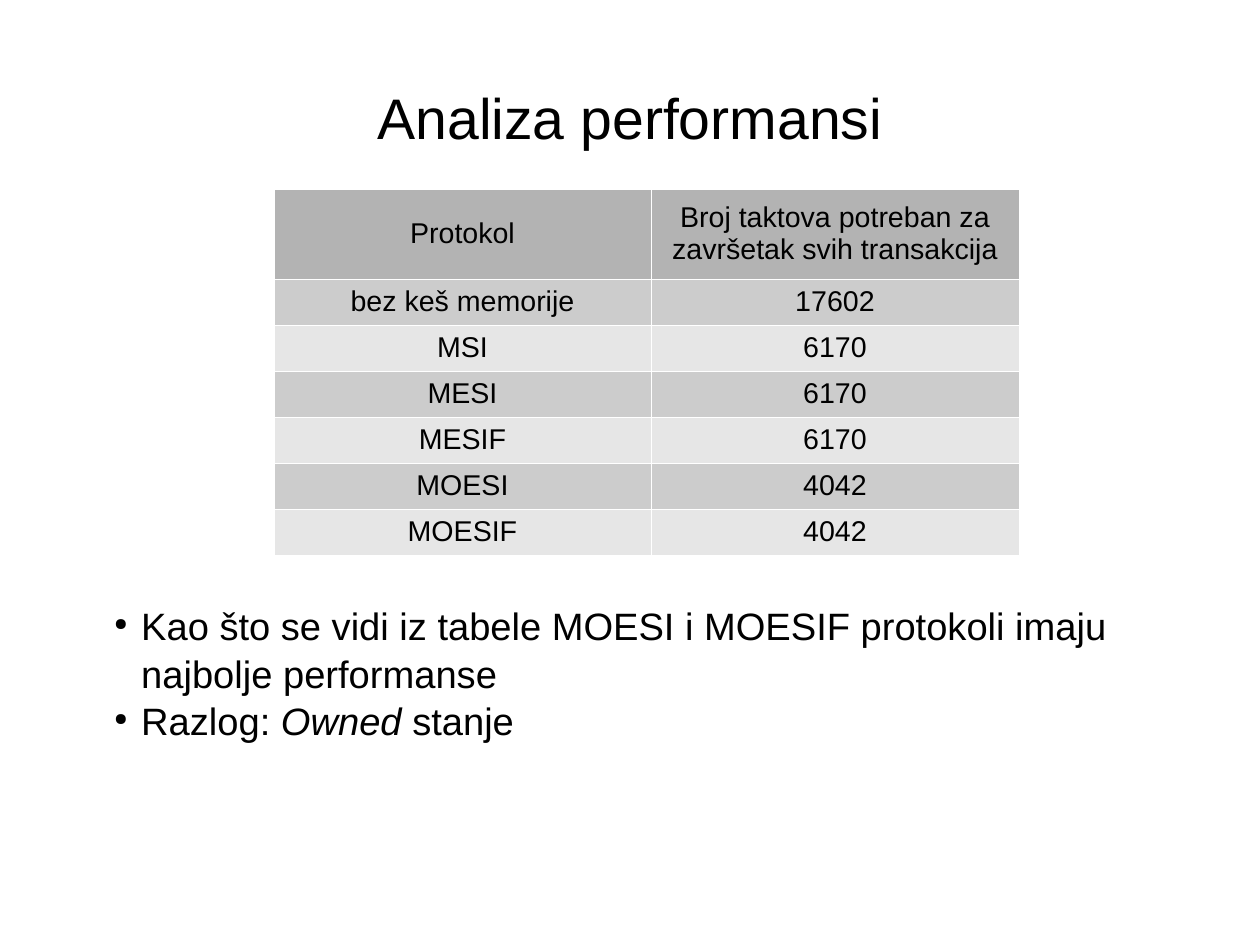
from lxml import etree
from pptx import Presentation
from pptx.dml.color import RGBColor
from pptx.enum.text import MSO_ANCHOR, PP_ALIGN
from pptx.oxml.ns import qn
from pptx.util import Emu, Pt

CENTER = PP_ALIGN.CENTER
MIDDLE = MSO_ANCHOR.MIDDLE
FONT = "Arial"
BLACK, WHITE = "000000", "FFFFFF"
HEADER_FILL, ROW_FILLS = "B3B3B3", ("CCCCCC", "E6E6E6")

HEADER = ("Protokol", "Broj taktova potreban za završetak svih transakcija")
RESULTS = [
    ("bez keš memorije", "17602"),
    ("MSI", "6170"),
    ("MESI", "6170"),
    ("MESIF", "6170"),
    ("MOESI", "4042"),
    ("MOESIF", "4042"),
]
# Each bullet is a list of (text, italic) runs
BULLETS = [
    [("Kao što se vidi iz tabele MOESI i MOESIF protokoli imaju "
      "najbolje performanse", False)],
    [("Razlog: ", False), ("Owned ", True), ("stanje", False)],
]


def px(n):
    return Emu(n * 8000)


def color(value):
    return RGBColor.from_string(value)


def style(p, size, align=None):
    p.font.name = FONT
    p.font.size = Pt(size)
    p.font.color.rgb = color(BLACK)
    p.alignment = align


def add_text_frame(s, box):
    tf = s.shapes.add_textbox(*map(px, box)).text_frame
    tf.word_wrap = True
    return tf


def add_title(s, box, text):
    tf = add_text_frame(s, box)
    tf.margin_left = tf.margin_right = tf.margin_top = tf.margin_bottom = 0
    tf.vertical_anchor = MIDDLE
    p = tf.paragraphs[0]
    p.text = text
    style(p, 36, CENTER)


def add_borders(cell):
    tc_pr = cell._tc.get_or_add_tcPr()
    for side in ("a:lnL", "a:lnR", "a:lnT", "a:lnB"):
        ln = etree.SubElement(tc_pr, qn(side), w="720")
        fill = etree.SubElement(ln, qn("a:solidFill"))
        etree.SubElement(fill, qn("a:srgbClr"), val=WHITE)


def add_results_table(s, box, first_col_width, header_height):
    x, y, w, h = box
    rows = [HEADER] + RESULTS
    table = s.shapes.add_table(len(rows), 2, *map(px, box)).table
    table.first_row = table.horz_banding = False
    table.columns[0].width = px(first_col_width)
    table.columns[1].width = px(w - first_col_width)
    row_height = (h - header_height) // len(RESULTS)
    for i, values in enumerate(rows):
        table.rows[i].height = px(row_height if i else header_height)
        fill = ROW_FILLS[(i - 1) % 2] if i else HEADER_FILL
        for j, value in enumerate(values):
            cell = table.cell(i, j)
            add_borders(cell)
            cell.fill.solid()
            cell.fill.fore_color.rgb = color(fill)
            cell.vertical_anchor = MIDDLE
            cell.text = value
            style(cell.text_frame.paragraphs[0], 18, CENTER)


def add_bullet(p, indent):
    p_pr = p._p.get_or_add_pPr()
    p_pr.set("marL", str(indent))
    p_pr.set("indent", str(-indent))
    clr = etree.Element(qn("a:buClr"))
    etree.SubElement(clr, qn("a:srgbClr"), val=BLACK)
    size = etree.Element(qn("a:buSzPct"), val="45000")
    char = etree.Element(qn("a:buChar"), char="●")
    # Bullet properties go after line spacing and before run defaults
    for element in (clr, size, char):
        p_pr.find(qn("a:defRPr")).addprevious(element)


def add_conclusions(s, box):
    tf = add_text_frame(s, box)
    for i, runs in enumerate(BULLETS):
        p = tf.add_paragraph() if i else tf.paragraphs[0]
        style(p, 24)
        p.line_spacing = 1.04
        add_bullet(p, px(27))
        for text, italic in runs:
            r = p.add_run()
            r.text = text
            r.font.italic = italic


def main():
    prs = Presentation()
    prs.slide_width, prs.slide_height = px(1260), px(945)
    s = prs.slides.add_slide(prs.slide_layouts[6])
    add_title(s, (63, 38, 1134, 158), "Analiza performansi")
    add_results_table(s, (274, 189, 745, 366), 377, 90)
    add_conclusions(s, (103, 595, 1063, 138))
    prs.save("out.pptx")


if __name__ == "__main__":
    main()
